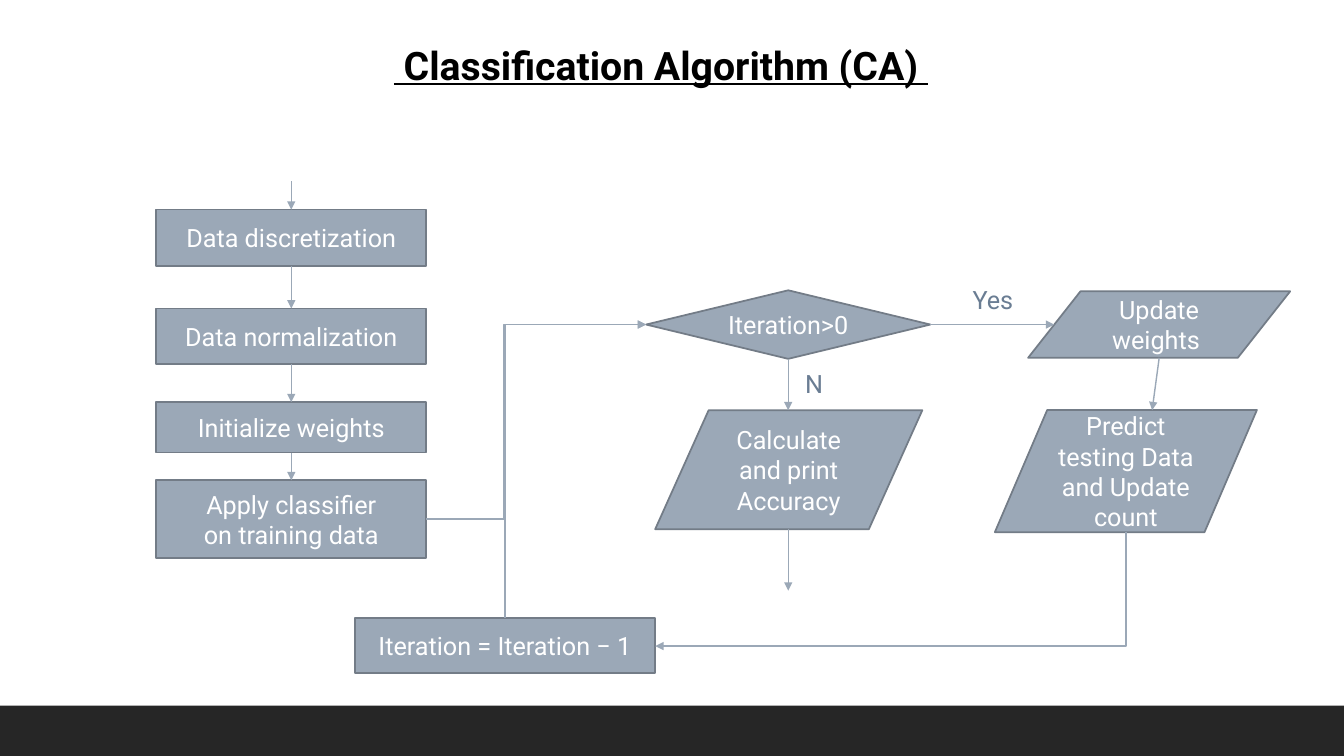
from dataclasses import dataclass
from typing import Optional

import pptx
import pptx.dml.color
import pptx.enum.shapes
import pptx.enum.text
import pptx.oxml
import pptx.oxml.ns
import pptx.util
from pptx.shapes.connector import Connector
from pptx.slide import Slide

Shape = pptx.enum.shapes.MSO_SHAPE
Line = pptx.enum.shapes.MSO_CONNECTOR
qn = pptx.oxml.ns.qn

# Grid of 40 columns and 30 rows
WIDTH = pptx.util.Emu(12192000)
HEIGHT = pptx.util.Inches(7.5)
COL = WIDTH / 40
ROW = HEIGHT / 30


@dataclass(frozen=True)
class Theme:
    font: str = "Roboto"
    title_size: float = 28
    body_size: float = 18
    outline_width: float = 1.25
    arrow_width: float = 1
    title: str = "000000"
    box: str = "9BA8B7"
    outline: str = "737C87"
    box_text: str = "FFFFFF"
    label: str = "6A7D93"
    bar: str = "262626"


@dataclass(frozen=True)
class Box:
    text: str
    col: float
    row: float
    cols: float
    rows: float
    kind: Shape = Shape.RECTANGLE


@dataclass(frozen=True)
class Label:
    text: str
    col: float
    row: float
    cols: float
    rows: float
    wrap: bool = True
    heading: bool = False


@dataclass(frozen=True)
class Arrow:
    """Runs straight, across with a middle bend, or vertically first."""
    start: tuple[float, float]
    end: tuple[float, float]
    route: str = "straight"
    bend: Optional[float] = None


THEME = Theme()

# Left column of steps, then the iteration loop
STEP_COL, STEP_COLS = 4.65, 8.04
STEP_MID = STEP_COL + STEP_COLS / 2
STEPS = [
    Box("Data discretization", STEP_COL, 8.32, STEP_COLS, 2.24),
    Box("Data normalization", STEP_COL, 12.24, STEP_COLS, 2.2),
    Box("Initialize weights", STEP_COL, 15.96, STEP_COLS, 2),
    Box("Apply classifier\non training data", STEP_COL, 19.06, STEP_COLS, 3.08),
]
LOOP = [
    Box("Iteration>0", 19.23, 11.52, 8.46, 2.72, Shape.FLOWCHART_DECISION),
    Box("Update weights ", 30.6, 11.56, 7.8, 2.64, Shape.FLOWCHART_DATA),
    Box("Predict testing Data\nand Update count", 29.61, 16.27, 7.8, 4.85,
        Shape.FLOWCHART_DATA),
    Box("Iteration = Iteration − 1", 10.56, 24.52, 8.94, 2.2,
        Shape.FLOWCHART_PROCESS),
    Box("Calculate and print Accuracy", 19.5, 16.28, 7.95, 4.72,
        Shape.FLOWCHART_DATA),
]
LABELS = [
    Label(" Classification Algorithm (CA) ", 11.43, 1.44, 19.17, 2.28, heading=True),
    Label("No", 23.67, 14.44, 1.5, 1.6, wrap=False),
    Label("Yes", 28.65, 11.08, 1.92, 1.6),
]

# Arrows into each step, starting where the previous step ends
STEP_STARTS = [7.2] + [step.row + step.rows for step in STEPS[:-1]]
TEST_IN = (19.23, 12.88)
TEST_MID = 23.46
ARROWS = [
    Arrow((STEP_MID, start), (STEP_MID, step.row))
    for start, step in zip(STEP_STARTS, STEPS)
] + [
    Arrow((TEST_MID, 14.24), (TEST_MID, 16.28)),
    Arrow((TEST_MID, 21), (TEST_MID, 23.44)),
    Arrow((34.5, 14.2), (34.29, 16.28)),
    Arrow((27.69, 12.88), (31.38, 12.88), "across"),
    Arrow((12.69, 20.6), TEST_IN, "across", bend=0.354),
    Arrow((15.03, 24.52), TEST_IN, "vertical"),
    Arrow((33.51, 21.12), (19.5, 25.64), "vertical"),
]


def rgb(value: str) -> pptx.dml.color.RGBColor:
    return pptx.dml.color.RGBColor.from_string(value)


def frame(item: Box | Label) -> tuple[int, int, int, int]:
    return (round(item.col * COL), round(item.row * ROW),
            round(item.cols * COL), round(item.rows * ROW))


def style(p, size: float, color: str) -> None:
    p.font.name = THEME.font
    p.font.size = pptx.util.Pt(size)
    p.font.color.rgb = rgb(color)


def draw_box(s: Slide, box: Box) -> None:
    sp = s.shapes.add_shape(box.kind, *frame(box))
    sp.shadow.inherit = False
    sp.fill.solid()
    sp.fill.fore_color.rgb = rgb(THEME.box)
    sp.line.color.rgb = rgb(THEME.outline)
    sp.line.width = pptx.util.Pt(THEME.outline_width)
    tf = sp.text_frame
    tf.word_wrap = True
    tf.vertical_anchor = pptx.enum.text.MSO_ANCHOR.MIDDLE
    tf.text = box.text
    for p in tf.paragraphs:
        p.alignment = pptx.enum.text.PP_ALIGN.CENTER
        style(p, THEME.body_size, THEME.box_text)


def draw_label(s: Slide, label: Label) -> None:
    tf = s.shapes.add_textbox(*frame(label)).text_frame
    tf.word_wrap = label.wrap
    tf.auto_size = pptx.enum.text.MSO_AUTO_SIZE.SHAPE_TO_FIT_TEXT
    tf.text = label.text
    p = tf.paragraphs[0]
    if label.heading:
        style(p, THEME.title_size, THEME.title)
        p.font.bold = p.font.underline = True
    else:
        style(p, THEME.body_size, THEME.label)


def finish_line(cxn: Connector) -> None:
    cxn.line.color.rgb = rgb(THEME.box)
    cxn.line.width = pptx.util.Pt(THEME.arrow_width)
    ln = cxn.line._get_or_add_ln()
    ln.append(pptx.oxml.parse_xml(
        f'<a:tailEnd {pptx.oxml.ns.nsdecls("a")} type="triangle"/>'))
    ln.addnext(pptx.oxml.parse_xml(
        f'<a:effectLst {pptx.oxml.ns.nsdecls("a")}/>'))


def draw_arrow(s: Slide, arrow: Arrow) -> None:
    x1, y1 = arrow.start[0] * COL, arrow.start[1] * ROW
    x2, y2 = arrow.end[0] * COL, arrow.end[1] * ROW
    vertical = arrow.route == "vertical"
    if vertical:  # a quarter turn about the centre swaps the two extents
        cx, cy, dx, dy = (x1 + x2) / 2, (y1 + y2) / 2, x2 - x1, y2 - y1
        x1, y1, x2, y2 = cx - dy / 2, cy + dx / 2, cx + dy / 2, cy - dx / 2
    kind = Line.STRAIGHT if arrow.route == "straight" else Line.ELBOW
    cxn = s.shapes.add_connector(kind, *map(round, (x1, y1, x2, y2)))
    geom = cxn._element.spPr.find(qn("a:prstGeom"))
    if vertical:
        geom.set("prst", "bentConnector2")
        cxn._element.spPr.find(qn("a:xfrm")).set("rot", "5400000")
    if arrow.bend is not None:
        guide = geom.find(qn("a:avLst")).makeelement(qn("a:gd"), {
            "name": "adj1", "fmla": f"val {round(arrow.bend * 100000)}"})
        geom.find(qn("a:avLst")).append(guide)
    finish_line(cxn)


def draw_bar(s: Slide) -> None:
    sp = s.shapes.add_shape(Shape.RECTANGLE, 0, round(28 * ROW), WIDTH, round(2 * ROW))
    sp.shadow.inherit = False
    sp.fill.solid()
    sp.fill.fore_color.rgb = rgb(THEME.bar)
    sp.line.fill.background()


def main() -> None:
    prs = pptx.Presentation()
    prs.slide_width, prs.slide_height = WIDTH, HEIGHT
    s = prs.slides.add_slide(prs.slide_layouts[6])
    draw_bar(s)
    for label in LABELS:
        draw_label(s, label)
    for box in STEPS + LOOP:
        draw_box(s, box)
    for arrow in ARROWS:
        draw_arrow(s, arrow)
    prs.save("out.pptx")


if __name__ == "__main__":
    main()
